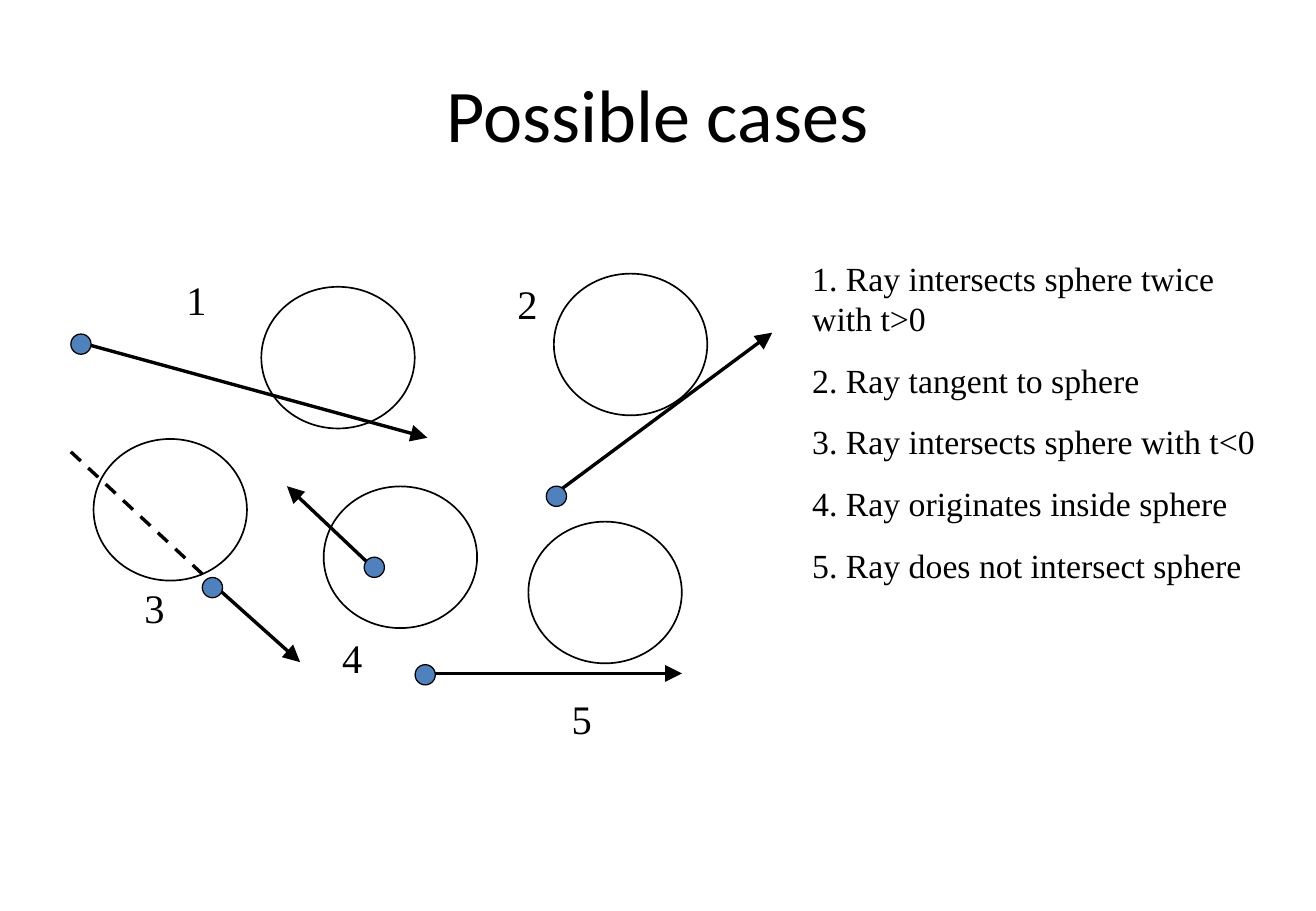
from collections import namedtuple

from lxml import etree
from pptx import Presentation
from pptx.dml.color import RGBColor
from pptx.enum.dml import MSO_LINE
from pptx.enum.shapes import MSO_CONNECTOR, MSO_SHAPE
from pptx.enum.text import MSO_ANCHOR, MSO_AUTO_SIZE, PP_ALIGN
from pptx.oxml.ns import qn
from pptx.util import Pt

STRAIGHT = MSO_CONNECTOR.STRAIGHT
OVAL = MSO_SHAPE.OVAL
DASH = MSO_LINE.DASH
CENTER = PP_ALIGN.CENTER
MIDDLE, TOP = MSO_ANCHOR.MIDDLE, MSO_ANCHOR.TOP
NO_FIT = MSO_AUTO_SIZE.NONE

BLACK, WHITE, BLUE = "000000", "FFFFFF", "4F81BD"
SPHERE_WIDTH, SPHERE_HEIGHT, DOT_SIZE = 91, 84, 12

Box = namedtuple("Box", "left top width height")
Case = namedtuple("Case", "sphere dot start tip label")

TITLE_FORMAT = {"name": "Calibri", "size": Pt(44)}
LABEL_FORMAT = {"name": "Times New Roman", "size": Pt(24)}
LIST_FORMAT = {"name": "Times New Roman", "size": Pt(20)}

CASES = [
    Case((116, 11), (9, 45), (8.5, 44), (214.5, 100.5), (64.4, 0.4)),
    Case((289.5, 3.2), (291, 135.2), (288.5, 135), (419, 38.2), (260.7, 3)),
    Case((16.5, 101.2), (87, 189.3), (91.5, 191), (139, 233.5), (39.5, 183.3)),
    Case((153, 129.3), (183, 177.3), (182, 177.3), (131.2, 129.2), (156.8, 212.8)),
    Case((274.4, 150.2), (213.2, 241), (213, 240.2), (365.5, 240.2), (293, 248.8)),
]
BACKWARD_RAY = (CASES[2].start, (0, 106))

DESCRIPTIONS = [
    "1. Ray intersects sphere twice \vwith t>0",
    "2. Ray tangent to sphere",
    "3. Ray intersects sphere with t<0",
    "4. Ray originates inside sphere",
    "5. Ray does not intersect sphere",
]


def color(value):
    return RGBColor.from_string(value)


def format_font(font, values):
    for name, value in values.items():
        setattr(font, name, value)
    font.color.rgb = color(BLACK)


def place(shape, box):
    for name, value in box._asdict().items():
        setattr(shape, name, Pt(value))


def add_circle(slide, box, fill, line_width):
    circle = slide.shapes.add_shape(OVAL, *map(Pt, box))
    circle.shadow.inherit = False
    circle.fill.solid()
    circle.fill.fore_color.rgb = color(fill)
    circle.line.color.rgb = color(BLACK)
    circle.line.width = Pt(line_width)


def add_ray(slide, box, start, end, dashed=False):
    points = [box.left + start[0], box.top + start[1], box.left + end[0], box.top + end[1]]
    ray = slide.shapes.add_connector(STRAIGHT, *map(Pt, points))
    ray.line.color.rgb = color(BLACK)
    ray.line.width = Pt(2)
    if dashed:
        ray.line.dash_style = DASH
    else:
        line = ray.line._get_or_add_ln()
        etree.SubElement(line, qn("a:tailEnd"), type="triangle", w="lg", len="lg")
    etree.SubElement(ray._element.spPr, qn("a:effectLst"))


def add_label(slide, box, text):
    label = slide.shapes.add_textbox(*map(Pt, box))
    label.text_frame.word_wrap = False
    para = label.text_frame.paragraphs[0]
    para.text = text
    format_font(para.font, LABEL_FORMAT)


def fill_title(slide, box):
    title = slide.shapes.title
    place(title, box)
    title.text_frame.vertical_anchor = MIDDLE
    title.text_frame.auto_size = NO_FIT
    para = title.text_frame.paragraphs[0]
    para.text = "Possible cases"
    para.alignment = CENTER
    format_font(para.font, TITLE_FORMAT)


def draw_cases(slide, box):
    for case in CASES:
        left, top = case.sphere
        sphere_box = Box(box.left + left, box.top + top, SPHERE_WIDTH, SPHERE_HEIGHT)
        add_circle(slide, sphere_box, WHITE, 1)
    add_ray(slide, box, *BACKWARD_RAY, dashed=True)
    for number, case in enumerate(CASES, 1):
        add_ray(slide, box, case.start, case.tip)
        left, top = case.label
        add_label(slide, Box(box.left + left, box.top + top, 26, 36), str(number))
        left, top = (value - DOT_SIZE / 2 for value in case.dot)
        add_circle(slide, Box(box.left + left, box.top + top, DOT_SIZE, DOT_SIZE), BLUE, 0.75)


def fill_descriptions(slide, box):
    body = slide.placeholders[1]
    place(body, box)
    frame = body.text_frame
    frame.word_wrap = True
    frame.auto_size = NO_FIT
    frame.vertical_anchor = TOP
    for index, text in enumerate(DESCRIPTIONS):
        para = frame.add_paragraph() if index else frame.paragraphs[0]
        para.text = text
        para.space_before = Pt(12.5 if index else 0)
        properties = para._p.get_or_add_pPr()
        properties.set("marL", "0")
        properties.set("indent", "0")
        etree.SubElement(properties, qn("a:buNone"))
        format_font(para.font, LIST_FORMAT)


def main():
    deck = Presentation()
    deck.slide_width, deck.slide_height = Pt(780.48), Pt(540)
    slide = deck.slides.add_slide(deck.slide_layouts[1])
    fill_title(slide, Box(39, 22, 702, 90))
    draw_cases(slide, Box(39, 159, 419, 285))
    fill_descriptions(slide, Box(474.5, 149, 293, 201.6))
    deck.save("out.pptx")


if __name__ == "__main__":
    main()
